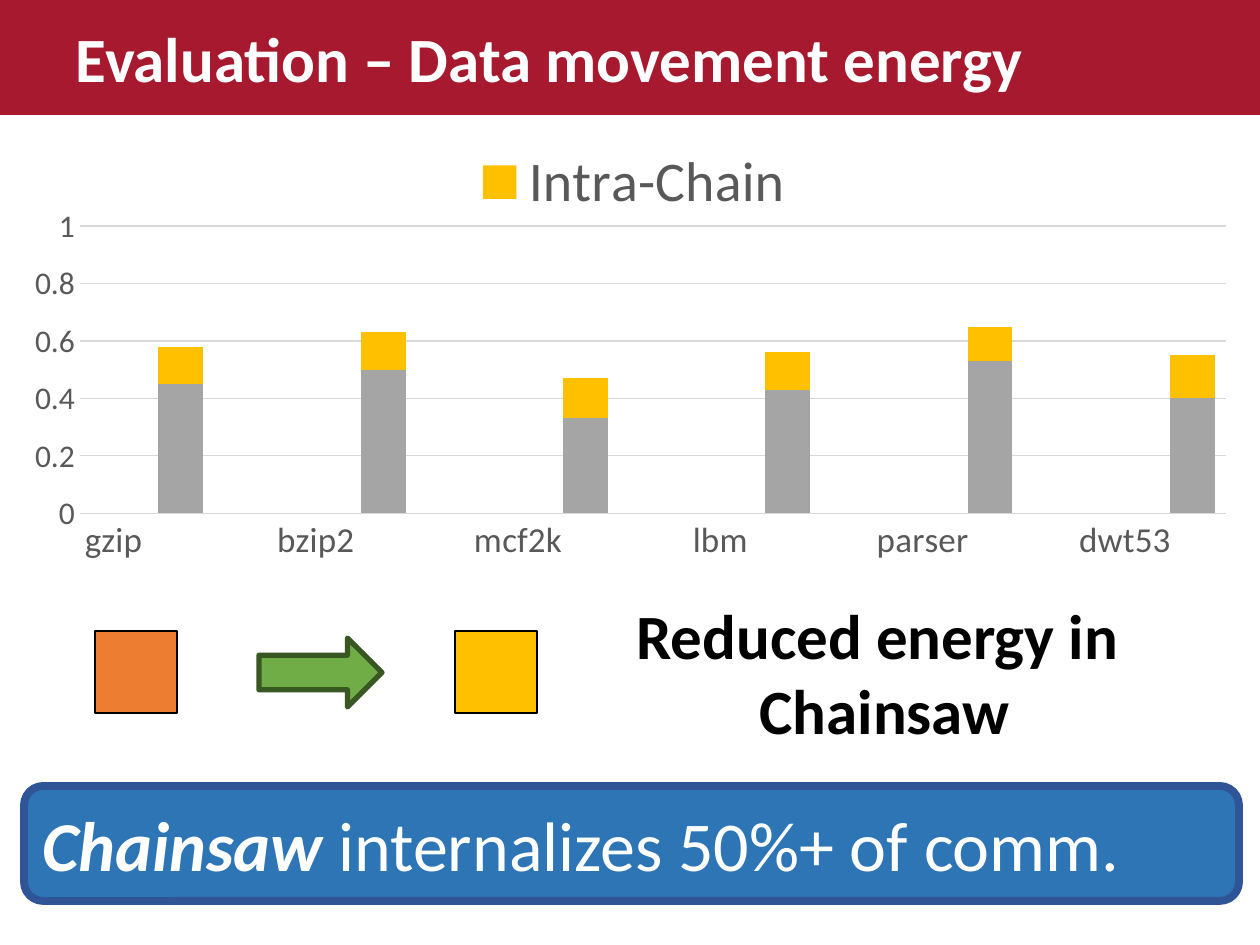
from lxml import etree
from pptx import Presentation
from pptx import util as u
from pptx.chart.data import CategoryChartData
from pptx.dml.color import RGBColor
from pptx.enum import chart as charts, shapes, text
from pptx.oxml import parse_xml
from pptx.oxml.ns import nsdecls, qn

FONT = "Calibri"
TITLE = "Evaluation – Data movement energy"
SAVINGS = "Reduced energy in\v Chainsaw"
CLAIM = [
    ("Chainsaw", {"bold": True, "italic": True}),
    (" internalizes 50%+ of comm.", {"bold": False, "italic": False}),
]

# benchmark, lower bar, intra-chain bar
BENCHMARKS = [
    ("gzip", 0.45, 0.13),
    ("bzip2", 0.5, 0.13),
    ("mcf2k", 0.33, 0.14),
    ("lbm", 0.43, 0.13),
    ("parser", 0.53, 0.12),
    ("dwt53", 0.4, 0.15),
]
SERIES = [("Series 1", "A5A5A5"), ("Intra-Chain", "FFC000")]
PLOT = {"x": 0.063, "y": 0.219, "w": 0.904, "h": 0.636}

# preset, place in px, fill, line, line width in points
FIGURES = {
    "claim": ("ROUNDED_RECTANGLE", (24, 786, 1215, 115), "2E75B6", "2F5597", 4.5),
    "before": ("RECTANGLE", (95, 631, 82, 82), "ED7D31", "000000", 1),
    "after": ("RECTANGLE", (455, 631, 82, 82), "FFC000", "000000", 1),
    "arrow": ("RIGHT_ARROW", (259, 638, 123, 69), "70AD47", "385723", 3),
}


def px(length):
    return round(length * u.Inches(1) / 126)


def place(left, top, width, height):
    return [px(n) for n in (left, top, width, height)]


def colour(value):
    return RGBColor.from_string(value)


def paint(fill, value):
    fill.solid()
    fill.fore_color.rgb = colour(value)


def style(font, size, value, **formats):
    font.name, font.size = FONT, u.Pt(size)
    font.color.rgb = colour(value)
    for name, setting in formats.items():
        setattr(font, name, setting)


def format_frame(frame, **formats):
    for name, setting in formats.items():
        setattr(frame, name, setting)


def add_title(page):
    box = page.shapes.title
    box.left, box.top, box.width, box.height = place(0, 0, 1260, 115)
    paint(box.fill, "A6192E")
    format_frame(box.text_frame, auto_size=text.MSO_AUTO_SIZE.NONE, margin_left=px(76),
                 vertical_anchor=text.MSO_ANCHOR.MIDDLE)
    para = box.text_frame.paragraphs[0]
    para.alignment = text.PP_ALIGN.LEFT
    span = para.add_run()
    span.text = TITLE
    style(span.font, 36, "FFFFFF", bold=True)


def chart_data():
    """Each benchmark is a label slot, a bar slot and a gap; the last has no gap."""
    data = CategoryChartData()
    slots = [slot for name, *_ in BENCHMARKS for slot in (name, "", "")][:-1]
    data.categories = slots
    for index, (name, _) in enumerate(SERIES, 1):
        values = [v for row in BENCHMARKS for v in (None, row[index], None)][:-1]
        data.add_series(name, values)
    return data


def add_energy_chart(page):
    chart = page.shapes.add_chart(charts.XL_CHART_TYPE.COLUMN_STACKED,
                                  *place(0, 127, 1268, 452), chart_data()).chart
    style(chart.font, 10, "000000")
    chart.has_title = False
    chart.has_legend = True
    chart.legend.position = charts.XL_LEGEND_POSITION.TOP
    chart.legend.include_in_layout = False
    style(chart.legend.font, 32, "595959")

    plot = chart.plots[0]
    plot.gap_width, plot.overlap, plot.vary_by_categories = 50, 100, False
    for series, (_, value) in zip(plot.series, SERIES):
        paint(series.format.fill, value)

    across, up = chart.category_axis, chart.value_axis
    for axis, size in ((across, 20), (up, 18)):
        axis.major_tick_mark = axis.minor_tick_mark = charts.XL_TICK_MARK.NONE
        style(axis.tick_labels.font, size, "595959")
    up.minimum_scale, up.maximum_scale, up.major_unit = 0, 1, 0.2
    up.has_major_gridlines = True
    up.format.line.fill.background()
    for line in (across.format.line, up.major_gridlines.format.line):
        line.color.rgb = colour("D9D9D9")
        line.width = u.Pt(0.75)
    adjust_chart_xml(chart)


def adjust_chart_xml(chart):
    """Fix the plot area, label every slot and hide the first legend entry."""
    area = chart.plots[0]._element.getparent()
    for old in area.findall(qn("c:layout")):
        area.remove(old)
    layout = parse_xml(f'<c:layout {nsdecls("c")}><c:manualLayout/></c:layout>')
    settings = {"layoutTarget": "inner", "xMode": "edge", "yMode": "edge", **PLOT}
    for name, value in settings.items():
        etree.SubElement(layout[0], qn(f"c:{name}")).set("val", str(value))
    area.insert(0, layout)

    skip = parse_xml(f'<c:tickLblSkip {nsdecls("c")} val="1"/>')
    chart.category_axis._element.find(qn("c:noMultiLvlLbl")).addprevious(skip)
    hidden = parse_xml(f'<c:legendEntry {nsdecls("c")}><c:idx val="0"/>'
                       '<c:delete val="1"/></c:legendEntry>')
    chart.legend._element.find(qn("c:legendPos")).addnext(hidden)


def add_figure(page, preset, spot, fill, line, width):
    shape = page.shapes.add_shape(getattr(shapes.MSO_SHAPE, preset), *place(*spot))
    shape.shadow.inherit = False
    paint(shape.fill, fill)
    shape.line.color.rgb = colour(line)
    shape.line.width = u.Pt(width)
    return shape


def add_claim(shape):
    format_frame(shape.text_frame, vertical_anchor=text.MSO_ANCHOR.MIDDLE, word_wrap=True)
    para = shape.text_frame.paragraphs[0]
    para.alignment = text.PP_ALIGN.LEFT
    for words, formats in CLAIM:
        span = para.add_run()
        span.text = words
        style(span.font, 40, "FFFFFF", **formats)


def add_savings(page):
    box = page.shapes.add_textbox(*place(621, 590, 513, 165))
    format_frame(box.text_frame, word_wrap=False,
                 auto_size=text.MSO_AUTO_SIZE.SHAPE_TO_FIT_TEXT)
    para = box.text_frame.paragraphs[0]
    para.text = SAVINGS
    para.alignment = text.PP_ALIGN.CENTER
    for span in para.runs:
        style(span.font, 36, "000000", bold=True)


def main():
    deck = Presentation()
    deck.slide_width, deck.slide_height = px(1260), px(945)
    page = deck.slides.add_slide(deck.slide_layouts.get_by_name("Title Only"))
    add_title(page)
    add_energy_chart(page)
    figures = {name: add_figure(page, *parts) for name, parts in FIGURES.items()}
    add_claim(figures["claim"])
    add_savings(page)
    deck.save("out.pptx")


if __name__ == "__main__":
    main()
